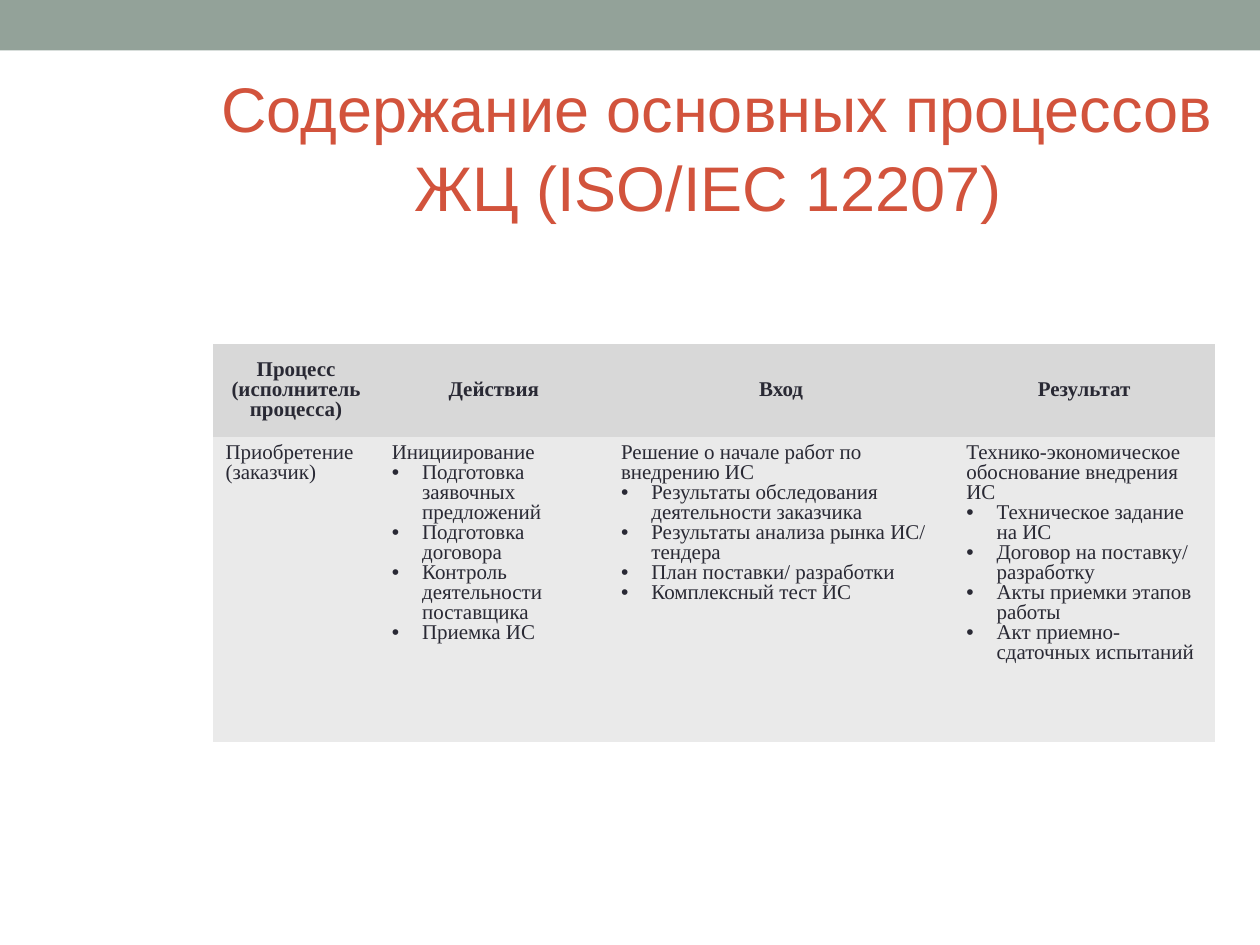
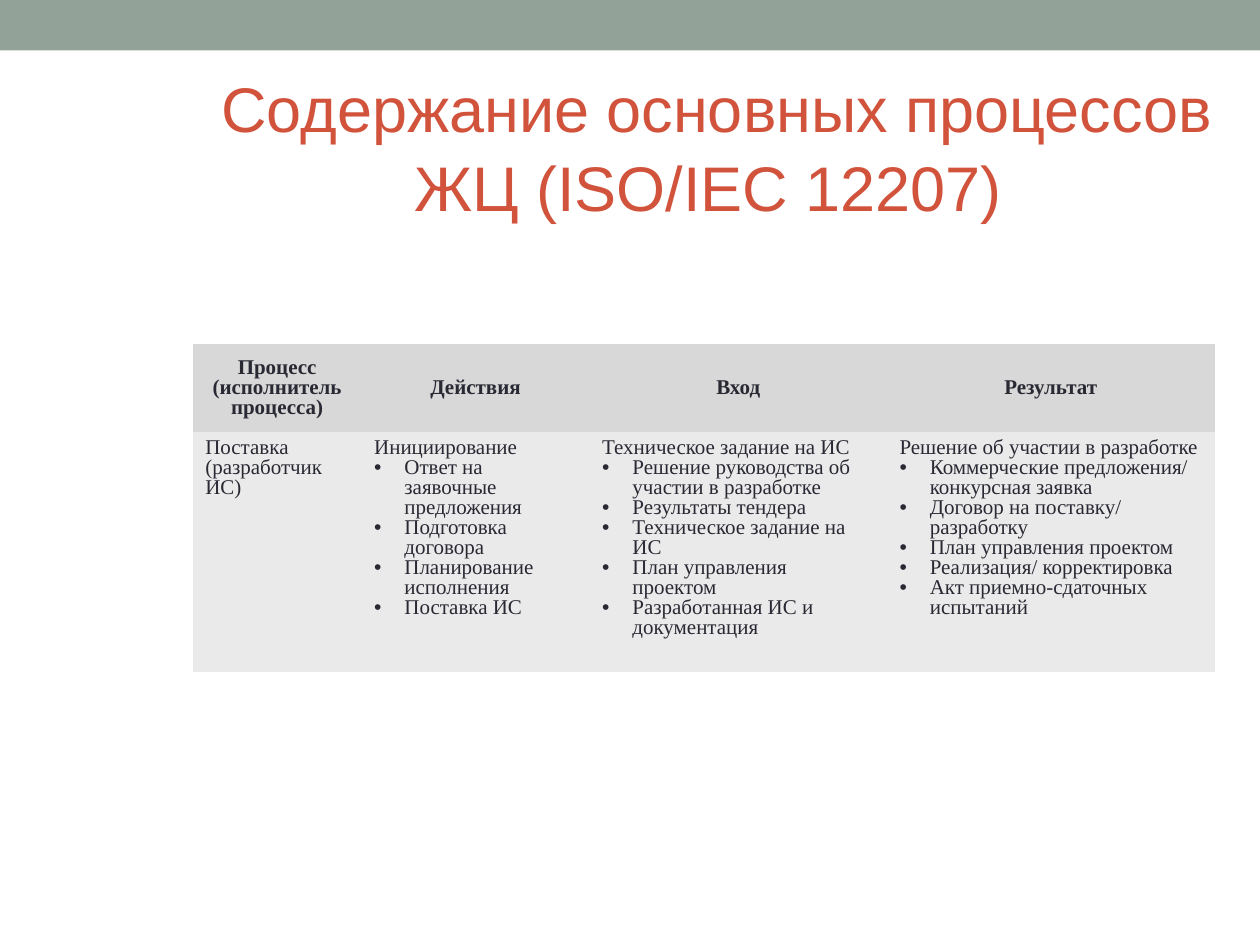
"""Builds two slides on the main life cycle processes of ISO/IEC 12207."""
from lxml.etree import SubElement
from pptx import Presentation
from pptx.dml.color import RGBColor
from pptx.enum.shapes import MSO_SHAPE
from pptx.enum.text import MSO_ANCHOR, PP_ALIGN
from pptx.oxml.ns import qn
from pptx.util import Inches, Pt

COLORS = {
    "band": "93A299",
    "title": "D2533C",
    "text": "292934",
    "header": "D8D8D8",
    "body": "EAEAEA",
}
PLAIN_TABLE_STYLE = "{2D5ABB26-0587-4C30-8999-92F81FD0307C}"
TITLE = "Содержание основных процессов ЖЦ (ISO/IEC 12207) "
HEADINGS = ["Процесс (исполнитель процесса)", "Действия", "Вход", "Результат"]

PROCESSES = [
    {
        "left": 1.69,
        "columns": [1.32, 1.82, 2.74, 2.07],
        "rows": [0.74, 2.42],
        "content": [
            ["Приобретение (заказчик)"],
            [
                "Инициирование",
                "Подготовка заявочных предложений",
                "Подготовка договора",
                "Контроль деятельности поставщика",
                "Приемка ИС",
            ],
            [
                "Решение о начале работ по внедрению ИС",
                "Результаты обследования деятельности заказчика",
                "Результаты анализа рынка ИС/ тендера",
                "План поставки/ разработки",
                "Комплексный тест ИС",
            ],
            [
                "Технико-экономическое обоснование внедрения ИС",
                "Техническое задание на ИС",
                "Договор на поставку/ разработку",
                "Акты приемки этапов работы",
                "Акт приемно-сдаточных испытаний",
            ],
        ],
    },
    {
        "left": 1.53,
        "columns": [1.34, 1.81, 2.36, 2.6],
        "rows": [0.7, 1.9],
        "content": [
            ["Поставка (разработчик ИС)"],
            [
                "Инициирование",
                "Ответ на заявочные предложения",
                "Подготовка договора",
                "Планирование исполнения",
                "Поставка ИС",
            ],
            [
                "Техническое задание на ИС",
                "Решение руководства об участии в разработке",
                "Результаты тендера",
                "Техническое задание на ИС",
                "План управления проектом",
                "Разработанная ИС и документация",
            ],
            [
                "Решение об участии в разработке",
                "Коммерческие предложения/ конкурсная заявка",
                "Договор на поставку/ разработку",
                "План управления проектом",
                "Реализация/ корректировка",
                "Акт приемно-сдаточных испытаний",
            ],
        ],
    },
]


def rgb(name):
    return RGBColor.from_string(COLORS[name])


def add_bullet(paragraph):
    properties = paragraph._p.get_or_add_pPr()
    properties.set("marL", str(Inches(0.24)))
    properties.set("indent", str(-Inches(0.24)))
    bullet_color = SubElement(properties, qn("a:buClr"))
    SubElement(bullet_color, qn("a:srgbClr"), val=COLORS["text"])
    SubElement(properties, qn("a:buFont"), typeface="Arial")
    SubElement(properties, qn("a:buChar"), char="•")


def write(frame, lines, font="Times New Roman", size=12, color="text",
          bold=False, align=PP_ALIGN.LEFT, spacing=0.86):
    """Write lines as paragraphs; those after the first are bulleted."""
    frame.word_wrap = True
    for index, line in enumerate(lines):
        paragraph = frame.add_paragraph() if index else frame.paragraphs[0]
        paragraph.alignment = align
        paragraph.line_spacing = spacing
        if index:
            add_bullet(paragraph)
        run = paragraph.add_run()
        run.text = line
        run.font.name = font
        run.font.size = Pt(size)
        run.font.bold = bold
        run.font.color.rgb = rgb(color)


class Deck:
    """Holds the presentation style and the current slide."""

    def __init__(self):
        self.presentation = Presentation()
        self.presentation.slide_width = Inches(10)
        self.presentation.slide_height = Inches(7.5)
        self.slide = None

    def add_slide(self):
        blank = self.presentation.slide_layouts[6]
        self.slide = self.presentation.slides.add_slide(blank)
        self.add_band()
        self.add_title(TITLE)

    def add_band(self):
        band = self.slide.shapes.add_shape(
            MSO_SHAPE.RECTANGLE, 0, 0, Inches(10), Inches(0.4))
        band.shadow.inherit = False
        band.fill.solid()
        band.fill.fore_color.rgb = rgb("band")
        band.line.fill.background()

    def add_title(self, text):
        title = self.slide.shapes.add_textbox(
            Inches(1.38), Inches(0.52), Inches(8.62), Inches(1.26))
        title.text_frame.vertical_anchor = MSO_ANCHOR.MIDDLE
        write(title.text_frame, [text], font="Arial", size=36, color="title",
              align=PP_ALIGN.CENTER, spacing=1.05)

    def add_process_table(self, left, columns, rows, content):
        table = self.slide.shapes.add_table(
            len(rows), len(columns), Inches(left), Inches(2.73),
            Inches(sum(columns)), Inches(sum(rows))).table
        table.first_row = table.horz_banding = False
        table._tbl.tblPr[0].text = PLAIN_TABLE_STYLE
        for column, width in zip(table.columns, columns):
            column.width = Inches(width)
        for row, height in zip(table.rows, rows):
            row.height = Inches(height)
        for index, heading in enumerate(HEADINGS):
            self.fill_cell(table.cell(0, index), [heading], "header",
                           MSO_ANCHOR.MIDDLE, bold=True, align=PP_ALIGN.CENTER)
            self.fill_cell(table.cell(1, index), content[index], "body",
                           MSO_ANCHOR.TOP)

    def fill_cell(self, cell, lines, fill, anchor, **text_format):
        cell.fill.solid()
        cell.fill.fore_color.rgb = rgb(fill)
        cell.vertical_anchor = anchor
        write(cell.text_frame, lines, **text_format)


def main():
    deck = Deck()
    for process in PROCESSES:
        deck.add_slide()
        deck.add_process_table(**process)
    deck.presentation.save("out.pptx")


if __name__ == "__main__":
    main()
